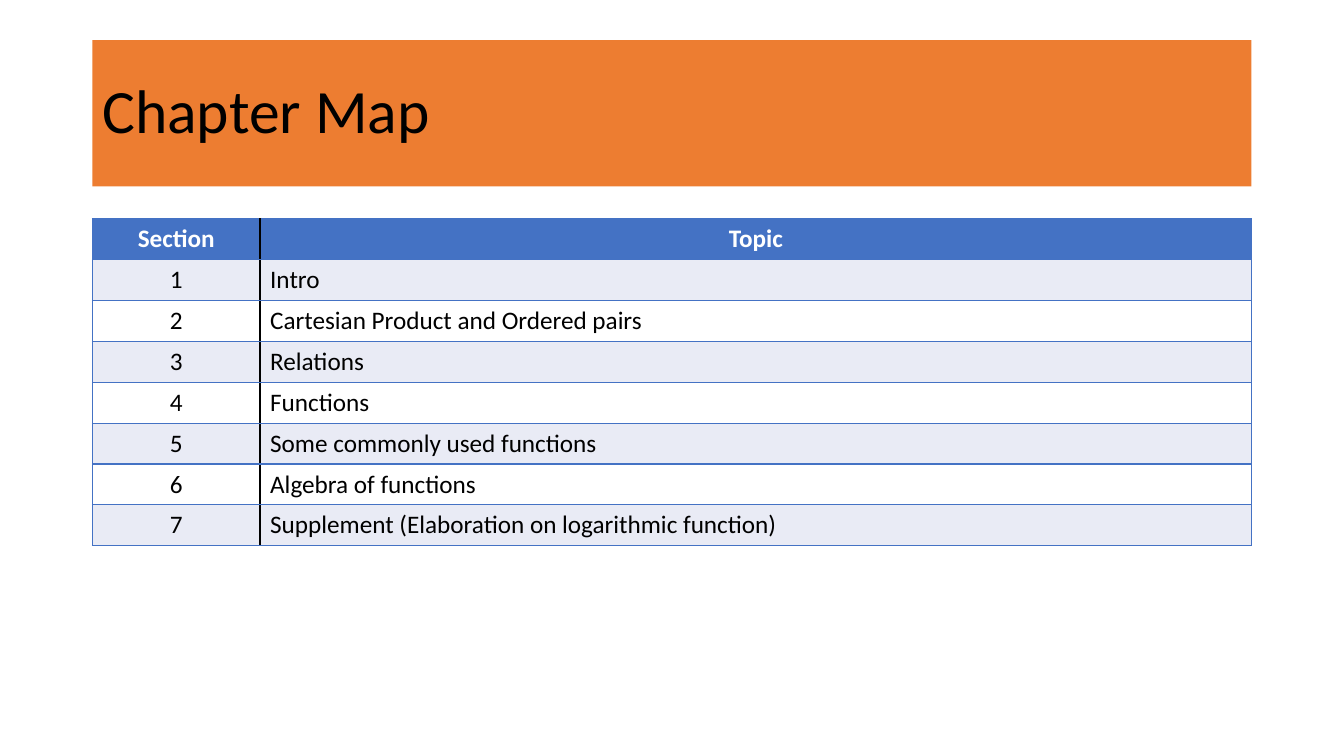
from lxml import etree
from pptx import Presentation
from pptx.dml.color import RGBColor
from pptx.enum.shapes import MSO_SHAPE
from pptx.enum.text import MSO_ANCHOR, PP_ALIGN
from pptx.oxml.ns import qn
from pptx.util import Pt

RECTANGLE = MSO_SHAPE.RECTANGLE
MIDDLE = MSO_ANCHOR.MIDDLE
LEFT, CENTER = PP_ALIGN.LEFT, PP_ALIGN.CENTER

TITLE = "Chapter Map"
HEADER = ("Section", "Topic")
TOPICS = [
    "Intro",
    "Cartesian Product and Ordered pairs",
    "Relations",
    "Functions",
    "Some commonly used functions",
    "Algebra of functions",
    "Supplement (Elaboration on logarithmic function)",
]

FONT = "Calibri"
BLACK = RGBColor(0x00, 0x00, 0x00)
WHITE = RGBColor(0xFF, 0xFF, 0xFF)
ORANGE = RGBColor(0xED, 0x7D, 0x31)
BLUE = RGBColor(0x44, 0x72, 0xC4)
BAND = RGBColor(0xE9, 0xEB, 0xF5)

MARGIN, CONTENT_W = 66, 828
TITLE_TOP, TITLE_H = 28.75, 104.4
TABLE_TOP, ROW_H = 156.25, 29.2
SECTION_W = 119.8
BORDER_W = 1


def format_paragraph(p, size, color, align, bold=False):
    p.alignment = align
    for r in p.runs:
        r.font.name = FONT
        r.font.size = Pt(size)
        r.font.bold = bold
        r.font.color.rgb = color


def add_borders(cell, colors):
    tc_pr = cell._tc.get_or_add_tcPr()
    for side, color in colors.items():
        ln = etree.SubElement(tc_pr, qn("a:ln" + side), w=str(Pt(BORDER_W)))
        fill = etree.SubElement(ln, qn("a:solidFill"))
        etree.SubElement(fill, qn("a:srgbClr"), val=str(color))


def add_title(s):
    sp = s.shapes.add_shape(RECTANGLE, Pt(MARGIN), Pt(TITLE_TOP), Pt(CONTENT_W), Pt(TITLE_H))
    sp.shadow.inherit = False
    sp.fill.solid()
    sp.fill.fore_color.rgb = ORANGE
    sp.line.fill.background()
    tf = sp.text_frame
    tf.text = TITLE
    tf.vertical_anchor = MIDDLE
    p = tf.paragraphs[0]
    p.line_spacing = 0.9
    format_paragraph(p, 44, BLACK, LEFT)


def add_topic_table(s):
    rows = [HEADER] + [(str(n), topic) for n, topic in enumerate(TOPICS, 1)]
    table = s.shapes.add_table(len(rows), len(HEADER), Pt(MARGIN), Pt(TABLE_TOP),
                               Pt(CONTENT_W), Pt(ROW_H * len(rows))).table
    table.columns[0].width = Pt(SECTION_W)
    table.columns[1].width = Pt(CONTENT_W - SECTION_W)
    for i, row in enumerate(rows):
        table.rows[i].height = Pt(ROW_H)
        is_header = i == 0
        fill = BLUE if is_header else BAND if i % 2 else WHITE
        for j, text in enumerate(row):
            is_section = j == 0
            cell = table.cell(i, j)
            add_borders(cell, {"L": BLUE if is_section else BLACK,
                               "R": BLACK if is_section else BLUE,
                               "T": BLUE, "B": BLUE})
            cell.fill.solid()
            cell.fill.fore_color.rgb = fill
            cell.text_frame.text = text
            format_paragraph(cell.text_frame.paragraphs[0], 18,
                             WHITE if is_header else BLACK,
                             CENTER if is_header or is_section else LEFT, is_header)


def main():
    prs = Presentation()
    prs.slide_width, prs.slide_height = Pt(960), Pt(540)
    s = prs.slides.add_slide(prs.slide_layouts[6])
    add_title(s)
    add_topic_table(s)
    prs.save("out.pptx")


if __name__ == "__main__":
    main()
